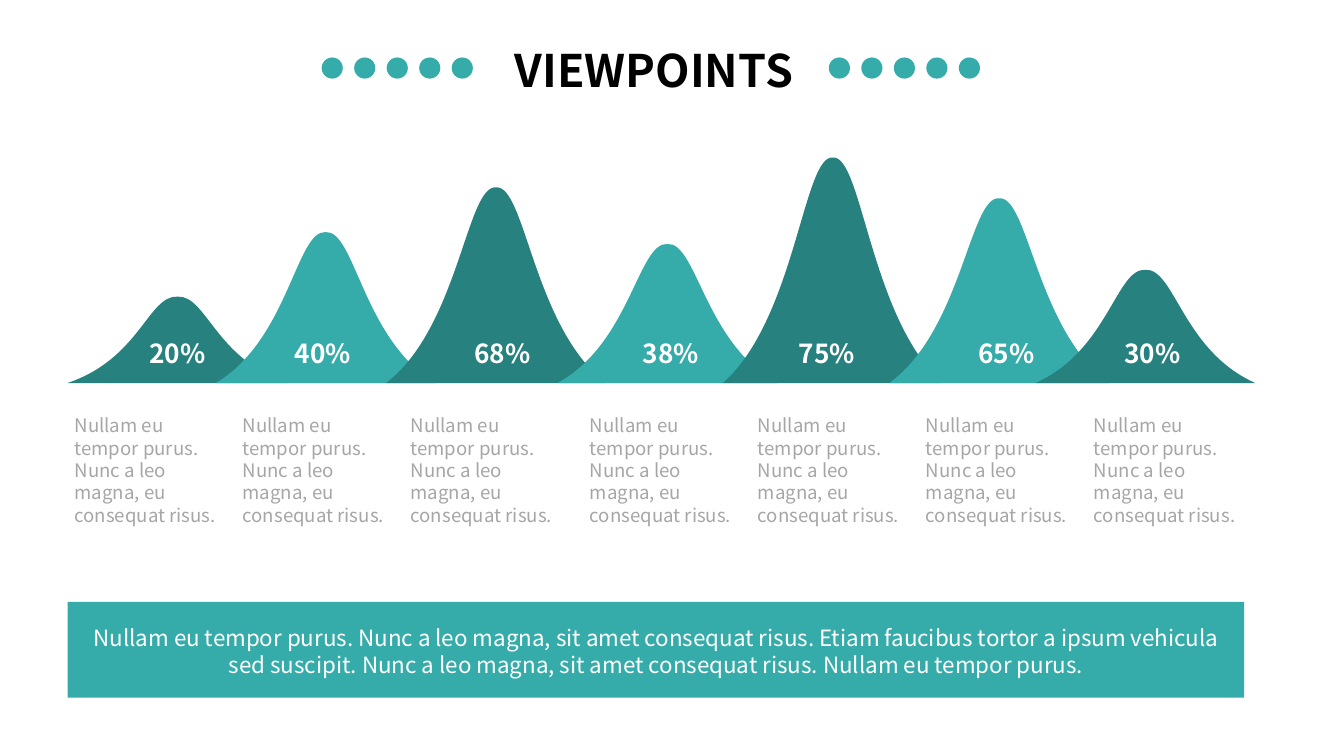
import dataclasses

import pptx
import pptx.dml.color
import pptx.enum.shapes
import pptx.enum.text
import pptx.oxml
import pptx.oxml.ns
import pptx.util

Inches = pptx.util.Inches
Align = pptx.enum.text.PP_ALIGN
Anchor = pptx.enum.text.MSO_ANCHOR
Kind = pptx.enum.shapes.MSO_SHAPE


@dataclasses.dataclass(frozen=True)
class Theme:
    font: str = "Noto Sans CJK JP"
    dark: str = "27817E"
    teal: str = "35ACA9"
    grey: str = "A6A6A6"
    white: str = "FFFFFF"
    black: str = "000000"
    head: float = 32
    label: float = 18.7
    body: float = 16
    note: float = 13.3


THEME = Theme()
BASE = 3.8

# Left edge, top edge, label left, label
HILLS = [
    (0.67, 2.93, 1.34, "20%"),
    (2.14, 2.28, 2.78, "40%"),
    (3.83, 1.83, 4.56, "68%"),
    (5.53, 2.4, 6.23, "38%"),
    (7.17, 1.53, 7.78, "75%"),
    (8.82, 1.94, 9.56, "65%"),
    (10.27, 2.66, 11.01, "30%"),
]
# Bezier points of a hill: inches from the left, share of the height
CURVE = [(0, 0), (0.72, 0.28), (0.8, 1), (1.09, 0.985),
         (1.38, 1), (1.46, 0.28), (2.18, 0)]
NOTE = "Nullam eu tempor purus. Nunc a leo magna, eu consequat risus."
CLOSING = ("Nullam eu tempor purus. Nunc a leo magna, sit amet consequat risus. "
           "Etiam faucibus tortor a ipsum vehicula sed suscipit. Nunc a leo magna, "
           "sit amet consequat risus. Nullam eu tempor purus.")


def paint(shape, color):
    shape.shadow.inherit = False
    shape.fill.solid()
    shape.fill.fore_color.rgb = pptx.dml.color.RGBColor.from_string(color)
    shape.line.fill.background()


def add_block(shapes, kind, area, color):
    shape = shapes.add_shape(kind, *map(Inches, area))
    paint(shape, color)


def add_text(shapes, area, text, size, color, align=Align.LEFT,
             bold=False, wrap=True, anchor=Anchor.TOP, pad=(0.07, 0.03)):
    box = shapes.add_textbox(*map(Inches, area))
    frame = box.text_frame
    frame.word_wrap = wrap
    frame.auto_size = pptx.enum.text.MSO_AUTO_SIZE.SHAPE_TO_FIT_TEXT
    frame.vertical_anchor = anchor
    frame.margin_left = frame.margin_right = Inches(pad[0])
    frame.margin_top = frame.margin_bottom = Inches(pad[1])
    frame.text = text
    para = frame.paragraphs[0]
    para.alignment = align
    font = para.runs[0].font
    font.name = THEME.font
    font.size = pptx.util.Pt(size)
    font.bold = bold
    font.color.rgb = pptx.dml.color.RGBColor.from_string(color)


def add_hill(shapes, left, top, color):
    points = [(Inches(left + x), Inches(BASE - y * (BASE - top)))
              for x, y in CURVE]
    form = shapes.build_freeform(*points[0], scale=1.0)
    form.add_line_segments(points[1:], close=True)
    hill = form.convert_to_shape()
    paint(hill, color)
    # Turn each three line points into one Bezier curve
    qn = pptx.oxml.ns.qn
    lines = hill._element.findall(".//" + qn("a:lnTo"))
    for start in range(0, 6, 3):
        bend = pptx.oxml.parse_xml(
            f"<a:cubicBezTo {pptx.oxml.ns.nsdecls('a')}/>")
        lines[start].addprevious(bend)
        for line in lines[start:start + 3]:
            bend.append(line[0])
            line.getparent().remove(line)


def add_title(slide):
    shapes = slide.shapes.add_group_shape().shapes
    add_text(shapes, (4.85, 0.37, 3.27, 0.64), "VIEWPOINTS", THEME.head,
             THEME.black, Align.CENTER, bold=True, wrap=False, pad=(0.1, 0.05))
    for left in (8.22, 3.19):
        for i in range(5):
            add_block(shapes, Kind.OVAL,
                      (left + i * 1.29 / 4, 0.57, 0.21, 0.21), THEME.teal)


def main():
    deck = pptx.Presentation()
    deck.slide_width, deck.slide_height = Inches(13.33), Inches(7.5)
    slide = deck.slides.add_slide(deck.slide_layouts[6])
    shapes = slide.shapes

    # Hills, in two colours by turns
    for i, (left, top, *_) in enumerate(HILLS):
        add_hill(shapes, left, top, (THEME.dark, THEME.teal)[i % 2])

    # Labels and notes; the last four notes stand a bit further right
    for *_, left, label in HILLS:
        add_text(shapes, (left, 3.32, 0.77, 0.38), label, THEME.label,
                 THEME.white, Align.RIGHT, bold=True)
    for i in range(len(HILLS)):
        left = 0.67 + i * 5 / 3 + (0.11 if i > 2 else 0)
        add_text(shapes, (left, 4.08, 1.67, 1.19), NOTE, THEME.note, THEME.grey)

    # Closing band
    add_block(shapes, Kind.RECTANGLE, (0.67, 5.97, 11.67, 0.95), THEME.teal)
    add_text(shapes, (0.81, 6.15, 11.4, 0.61), CLOSING, THEME.body,
             THEME.white, Align.CENTER, anchor=Anchor.MIDDLE)

    # Title between two rows of dots
    add_title(slide)
    deck.save("out.pptx")


if __name__ == "__main__":
    main()
